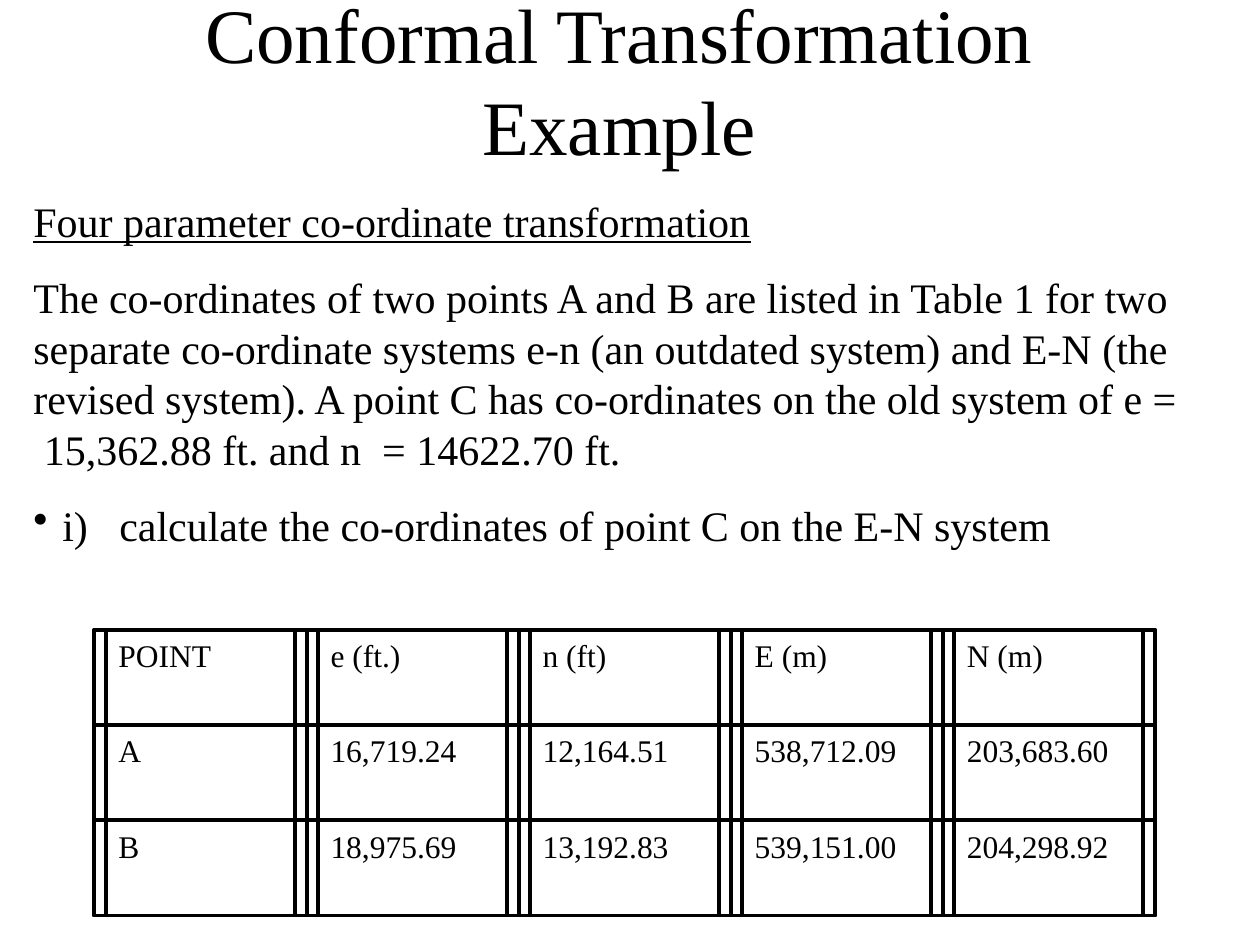
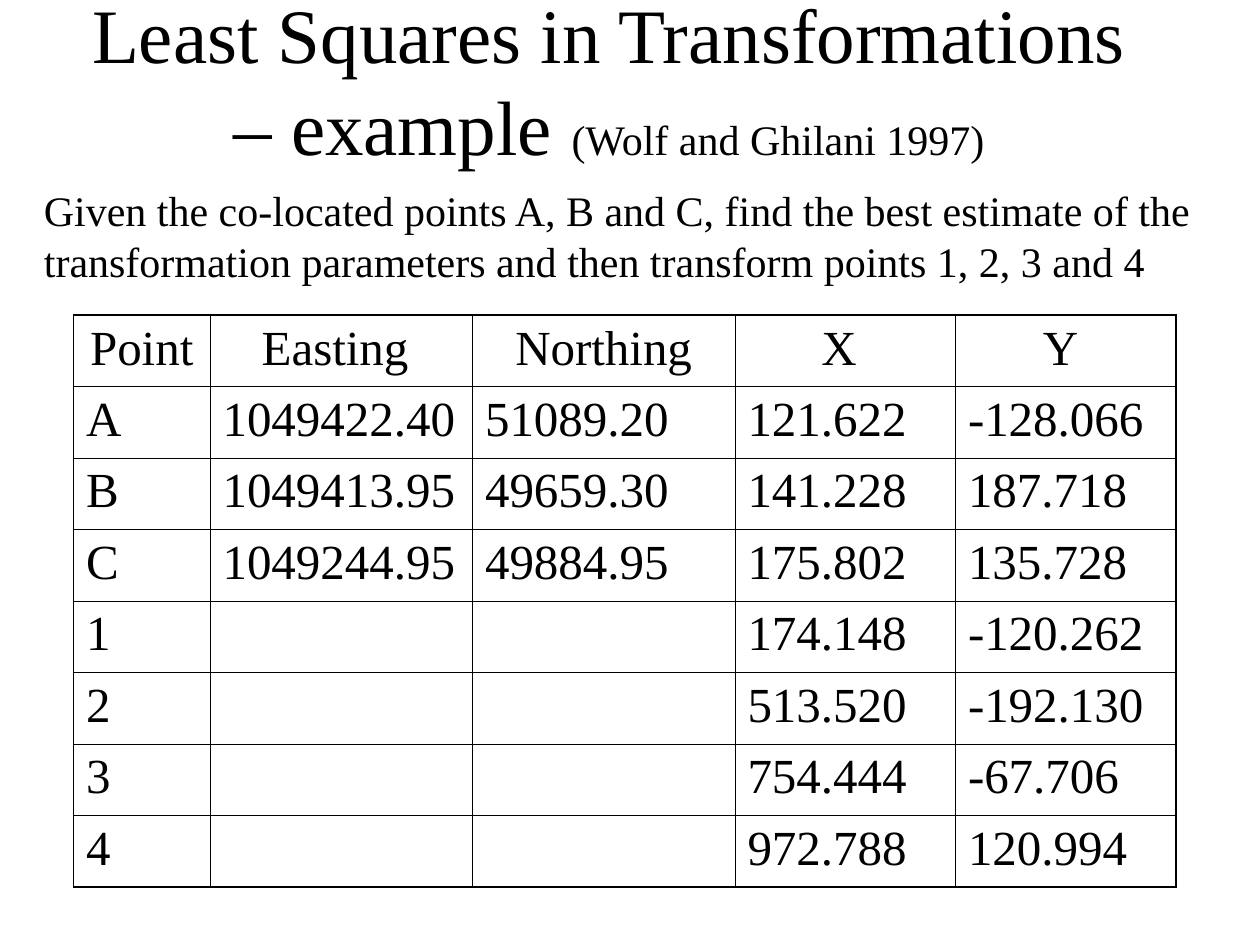
import pptx
import pptx.dml.color
import pptx.enum.shapes
import pptx.enum.text
import pptx.oxml
import pptx.oxml.ns
import pptx.util

Pt = pptx.util.Pt
PP_ALIGN = pptx.enum.text.PP_ALIGN
MSO_ANCHOR = pptx.enum.text.MSO_ANCHOR

COLORS = {"ink": "000000", "paper": "FFFFFF"}
FONT = "Times New Roman"
TITLE_SIZE, BODY_SIZE = 44, 24

COORDINATES = [
    ["POINT", "e (ft.)", "n (ft)", "E (m)", "N (m)"],
    ["A", "16,719.24", "12,164.51", "538,712.09", "203,683.60"],
    ["B", "18,975.69", "13,192.83", "539,151.00", "204,298.92"],
]
OBSERVATIONS = [
    ["Point", "Easting ", "Northing", "X ", "Y "],
    ["A", "1049422.40", "51089.20", "121.622", "-128.066"],
    ["B", "1049413.95", "49659.30", "141.228", "187.718"],
    ["C", "1049244.95", "49884.95", "175.802", "135.728"],
    ["1", "", "", "174.148", "-120.262"],
    ["2", "", "", "513.520", "-192.130"],
    ["3", "", "", "754.444", "-67.706"],
    ["4", "", "", "972.788", "120.994"],
]


def rgb(name):
    """Return the named colour."""
    return pptx.dml.color.RGBColor.from_string(COLORS[name])


def style_run(r, size):
    """Apply the shared typeface, ink and a size to a run."""
    r.font.name = FONT
    r.font.size = Pt(size)
    r.font.color.rgb = rgb("ink")


def style_paragraph(p, size, align=PP_ALIGN.LEFT, before=0):
    """Format a paragraph and all of its runs."""
    p.alignment = align
    p.space_before = Pt(before)
    for r in p.runs:
        style_run(r, size)


def add_bullet(p, indent):
    """Give a paragraph a round bullet with a hanging indent."""
    pPr = p._p.get_or_add_pPr()
    pPr.set("marL", str(Pt(indent)))
    pPr.set("indent", str(-Pt(indent)))
    ns = pptx.oxml.ns.nsdecls("a")
    pPr.append(pptx.oxml.parse_xml(f'<a:buChar {ns} char="•"/>'))


def add_title(slide, box, text, note=""):
    """Place the centred title, with an optional smaller note after it."""
    tf = slide.shapes.add_textbox(*map(Pt, box)).text_frame
    tf.word_wrap = True
    tf.vertical_anchor = MSO_ANCHOR.MIDDLE
    tf.text = text
    p = tf.paragraphs[0]
    style_paragraph(p, TITLE_SIZE, PP_ALIGN.CENTER)
    if note:
        r = p.add_run()
        r.text = note
        style_run(r, BODY_SIZE)


def add_body(slide, box, lines):
    """Place body paragraphs and return them."""
    tf = slide.shapes.add_textbox(*map(Pt, box)).text_frame
    tf.word_wrap = True
    tf.text = "\n".join(lines)
    for p in tf.paragraphs:
        style_paragraph(p, BODY_SIZE, before=15)
    return tf.paragraphs


def add_outline(shapes, box, text=""):
    """Draw an unfilled ruled rectangle, with text at its top left."""
    sp = shapes.add_shape(pptx.enum.shapes.MSO_SHAPE.RECTANGLE, *map(Pt, box))
    sp.shadow.inherit = False
    sp.fill.background()
    sp.line.color.rgb = rgb("ink")
    sp.line.width = Pt(2.25)
    if text:
        tf = sp.text_frame
        tf.word_wrap = True
        tf.vertical_anchor = MSO_ANCHOR.TOP
        tf.text = text
        style_paragraph(tf.paragraphs[0], 18)


def add_ruled_grid(slide, box, rows, gutter=6.6):
    """Draw a double-ruled grid of boxes that fills the given box."""
    shapes = slide.shapes.add_group_shape().shapes
    left, top, width, height = box
    w, h = width / len(rows[0]), height / len(rows)
    for i, row in enumerate(rows):
        for j, text in enumerate(row):
            x, y = left + j * w, top + i * h
            add_outline(shapes, (x + gutter, y, w - 2 * gutter, h), text)
            add_outline(shapes, (x, y, w, h))
    add_outline(shapes, box)


def set_borders(cell, widths):
    """Rule the sides of a cell, given widths by side letter."""
    tcPr = cell._tc.get_or_add_tcPr()
    ns = pptx.oxml.ns.nsdecls("a")
    for side in "LRTB":
        tcPr.append(pptx.oxml.parse_xml(
            f'<a:ln{side} {ns} w="{Pt(widths[side])}"><a:solidFill>'
            f'<a:srgbClr val="{COLORS["ink"]}"/></a:solidFill></a:ln{side}>'))


def add_data_table(slide, box, rows, col_widths):
    """Place a table with thin inner rules and a heavier outer frame."""
    thin, thick = 0.45, 1.08
    last_row, last_col = len(rows) - 1, len(rows[0]) - 1
    table = slide.shapes.add_table(len(rows), len(rows[0]), *map(Pt, box)).table
    table.first_row = table.horz_banding = False
    for col, width in zip(table.columns, col_widths):
        col.width = Pt(width)
    for i, row in enumerate(rows):
        table.rows[i].height = Pt(box[3] / len(rows))
        for j, text in enumerate(row):
            cell = table.cell(i, j)
            set_borders(cell, {
                "L": thick if j == 0 else thin,
                "R": thick if j == last_col else thin,
                "T": thick if i == 0 else thin,
                "B": thick if i == last_row else thin,
            })
            cell.fill.background()
            if text:
                cell.text = text
                align = PP_ALIGN.LEFT if i else PP_ALIGN.CENTER
                style_paragraph(cell.text_frame.paragraphs[0], 28, align, 7)


def add_slide(prs):
    """Add a blank slide on plain paper."""
    slide = prs.slides.add_slide(prs.slide_layouts[6])
    slide.background.fill.solid()
    slide.background.fill.fore_color.rgb = rgb("paper")
    return slide


def conformal_slide(prs):
    """Build the four parameter example."""
    slide = add_slide(prs)
    add_title(slide, (48, 0, 612, 90), "Conformal Transformation Example")
    heading, _, task = add_body(slide, (12, 108, 672, 254), [
        "Four parameter co-ordinate transformation",
        "The co-ordinates of two points A and B are listed in Table 1 for two "
        "separate co-ordinate systems e-n (an outdated system) and E-N (the "
        "revised system). A point C has co-ordinates on the old system of "
        "e =  15,362.88 ft. and n  = 14622.70 ft.",
        "i)   calculate the co-ordinates of point C on the E-N system",
    ])
    heading.runs[0].font.underline = True
    add_bullet(task, 16.5)
    add_ruled_grid(slide, (54, 360, 606, 163.2), COORDINATES)


def least_squares_slide(prs):
    """Build the least squares example."""
    slide = add_slide(prs)
    add_title(slide, (42, 0, 612, 90),
              "Least Squares in Transformations – example ",
              "(Wolf and Ghilani 1997)")
    add_data_table(slide, (42, 180, 630, 326.4), OBSERVATIONS,
                   [78, 150, 150, 126, 126])
    add_body(slide, (18, 102, 702, 65), [
        "Given the co-located points A, B and C, find the best estimate of the "
        "transformation parameters and then transform points 1, 2, 3 and 4",
    ])


def main():
    """Build and save the presentation."""
    prs = pptx.Presentation()
    prs.slide_width, prs.slide_height = Pt(720), Pt(540)
    conformal_slide(prs)
    least_squares_slide(prs)
    prs.save("out.pptx")


if __name__ == "__main__":
    main()
